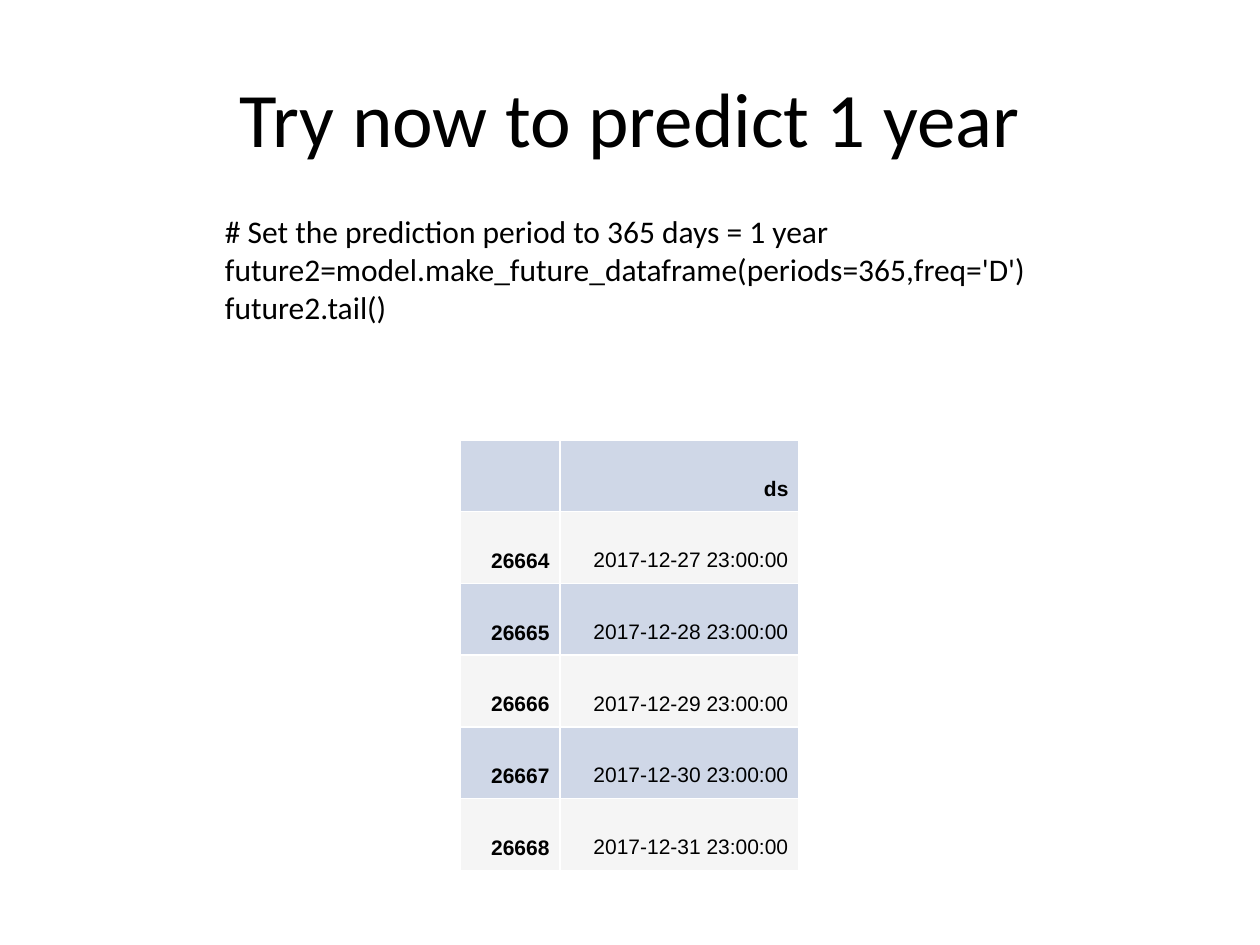
from dataclasses import dataclass

from lxml import etree
from pptx import Presentation
from pptx.dml.color import RGBColor
from pptx.enum.text import MSO_ANCHOR, MSO_AUTO_SIZE, PP_ALIGN
from pptx.oxml.ns import qn
from pptx.util import Emu, Pt

LEFT, CENTER, RIGHT = PP_ALIGN.LEFT, PP_ALIGN.CENTER, PP_ALIGN.RIGHT
TOP, MIDDLE = MSO_ANCHOR.TOP, MSO_ANCHOR.MIDDLE
FIT_SHAPE = MSO_AUTO_SIZE.SHAPE_TO_FIT_TEXT
EMU_PER_PX = 914400 / 126

TITLE = "Try now to predict 1 year"
CODE = [
    "# Set the prediction period to 365 days = 1 year",
    "future2=model.make_future_dataframe(periods=365,freq='D')",
    "future2.tail()",
]
ROWS = [("", "ds")] + [
    (str(26664 + i), f"2017-12-{27 + i} 23:00:00") for i in range(5)
]


@dataclass(frozen=True)
class Theme:
    """Colours, fonts and type measures of the slide."""
    ink: str = "000000"
    border: str = "FFFFFF"
    bands: tuple = ("CFD7E7", "F5F5F5")
    text_font: str = "Calibri"
    table_font: str = "Arial"
    title_size: int = 44
    code_size: int = 18
    table_size: int = 12
    bold_leading: int = 29
    plain_leading: int = 28
    cell_padding: int = 6
    border_width: int = 1


THEME = Theme()


def px(n):
    """Turn pixels into EMU."""
    return Emu(round(n * EMU_PER_PX))


def apply(target, formats):
    """Set each named attribute on the target."""
    for name, value in formats.items():
        setattr(target, name, value)


def set_margins(target, size):
    """Give all four sides of a frame or cell the same margin."""
    sides = ("left", "top", "right", "bottom")
    apply(target, {f"margin_{side}": size for side in sides})


def write_lines(tf, lines, font, size, align, bold=False, leading=None):
    """Write one formatted paragraph for each line."""
    for i, line in enumerate(lines):
        p = tf.paragraphs[0] if i == 0 else tf.add_paragraph()
        apply(p, {"alignment": align, "line_spacing": leading})
        r = p.add_run()
        r.text = line
        apply(r.font, {"name": font, "size": Pt(size), "bold": bold})
        r.font.color.rgb = RGBColor.from_string(THEME.ink)


def add_title(s, text, left, top, width, height):
    """Place and fill the title placeholder."""
    sp = s.shapes.title
    apply(sp, {"left": px(left), "top": px(top),
               "width": px(width), "height": px(height)})
    tf = sp.text_frame
    tf.vertical_anchor = MIDDLE
    set_margins(tf, px(6))
    write_lines(tf, [text], THEME.text_font, THEME.title_size, CENTER)


def add_code(s, lines, left, top, width, height):
    """Add the code lines as an unwrapped text box."""
    sp = s.shapes.add_textbox(px(left), px(top), px(width), px(height))
    tf = sp.text_frame
    apply(tf, {"word_wrap": False, "auto_size": FIT_SHAPE})
    set_margins(tf, px(6))
    write_lines(tf, lines, THEME.text_font, THEME.code_size, LEFT)


def add_borders(cell):
    """Draw the border line on each side of a cell."""
    tc_pr = cell._tc.get_or_add_tcPr()
    for tag in ("a:lnL", "a:lnR", "a:lnT", "a:lnB"):
        ln = etree.SubElement(tc_pr, qn(tag), w=str(Pt(THEME.border_width)))
        fill = etree.SubElement(ln, qn("a:solidFill"))
        etree.SubElement(fill, qn("a:srgbClr"), val=THEME.border)


def fill_cell(cell, text, band, bold, anchor):
    """Format one table cell and write its text."""
    add_borders(cell)
    cell.fill.solid()
    cell.fill.fore_color.rgb = RGBColor.from_string(band)
    cell.vertical_anchor = anchor
    set_margins(cell, Pt(THEME.cell_padding))
    if text:
        leading = THEME.bold_leading if bold else THEME.plain_leading
        write_lines(cell.text_frame, [text], THEME.table_font,
                    THEME.table_size, RIGHT, bold, Pt(leading))


def add_dates_table(s, rows, left, top, col_widths, row_height):
    """Add the banded table of predicted dates."""
    frame = s.shapes.add_table(
        len(rows), len(col_widths), px(left), px(top),
        px(sum(col_widths)), px(row_height * len(rows)))
    table = frame.table
    for column, width in zip(table.columns, col_widths):
        column.width = px(width)
    for i, row in enumerate(rows):
        table.rows[i].height = px(row_height)
        for j, text in enumerate(row):
            fill_cell(table.cell(i, j), text, THEME.bands[i % 2],
                      bold=i == 0 or j == 0,
                      anchor=TOP if j == 0 else MIDDLE)


def main():
    """Build and save the slide."""
    prs = Presentation()
    apply(prs, {"slide_width": px(1260), "slide_height": px(945)})
    s = prs.slides.add_slide(prs.slide_layouts[5])
    add_title(s, TITLE, 63, 38, 1134, 158)
    add_code(s, CODE, 219, 206, 822, 128)
    add_dates_table(s, ROWS, 460, 440, (100, 239), 39)
    prs.save("out.pptx")


if __name__ == "__main__":
    main()
